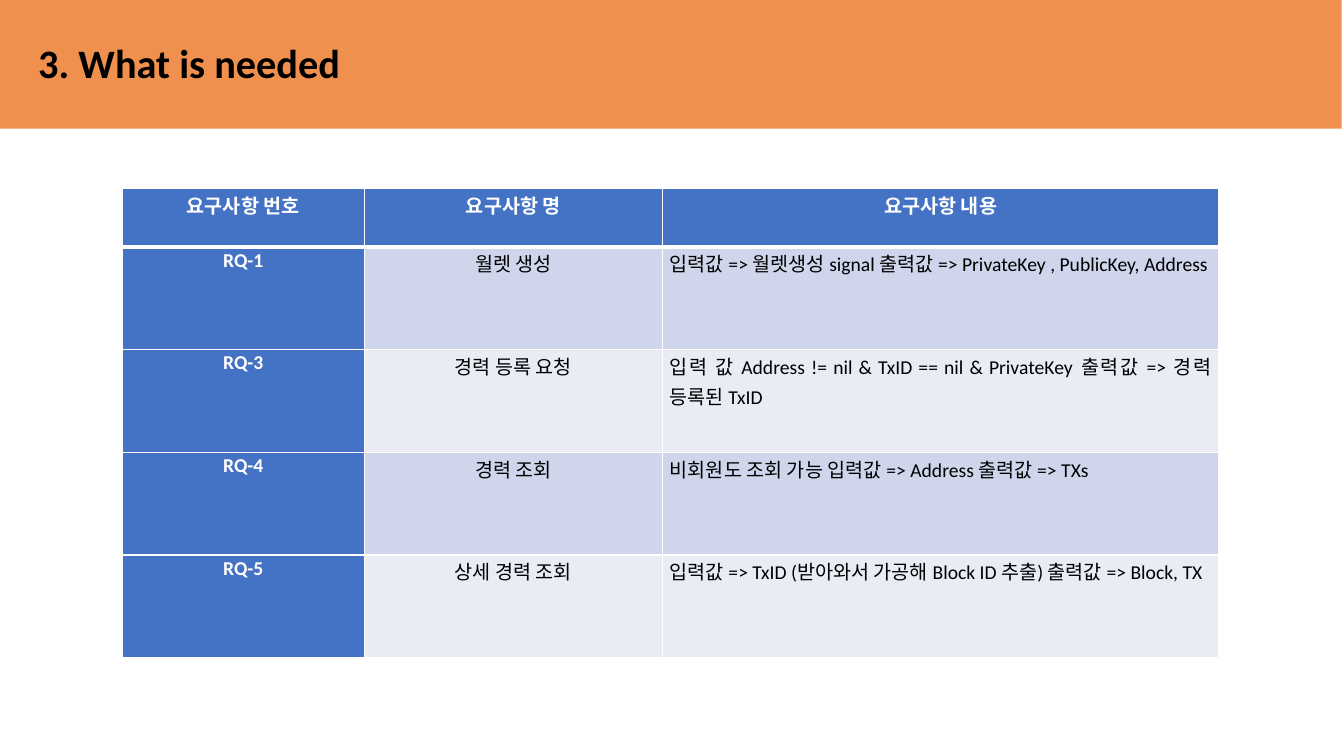
from dataclasses import dataclass

from lxml import etree
from pptx import Presentation
from pptx import util as u
from pptx.dml.color import RGBColor
from pptx.enum import shapes, text
from pptx.oxml import ns

Pt = u.Pt
Align = text.PP_ALIGN


@dataclass(frozen=True)
class Theme:
    font: str = "Calibri"
    band: str = "F0904E"
    head: str = "4472C4"
    rows: tuple = ("CFD5EA", "E9EBF5")
    dark: str = "000000"
    light: str = "FFFFFF"
    title: float = 28.8
    body: float = 14


THEME = Theme()
WIDTHS = (172.8, 213.1, 397.4)
HEAD = ("요구사항 번호", "요구사항 명", "요구사항 내용")
NEEDS = (
    ("RQ-1", "월렛 생성",
     "입력값 => 월렛생성 signal 출력값 => PrivateKey , PublicKey, Address"),
    ("RQ-3", "경력 등록 요청",
     "입력 값 Address != nil & TxID == nil & PrivateKey 출력값 => 경력 등록된 TxID"),
    ("RQ-4", "경력 조회",
     "비회원도 조회 가능 입력값 => Address 출력값 => TXs"),
    ("RQ-5", "상세 경력 조회",
     "입력값 => TxID (받아와서 가공해 Block ID 추출) 출력값 => Block, TX"),
)


def paint(fill, color):
    fill.solid()
    fill.fore_color.rgb = RGBColor.from_string(color)


def style(para, size, color, bold):
    for run in para.runs:
        font = run.font
        font.name, font.size, font.bold = THEME.font, Pt(size), bold
        font.color.rgb = RGBColor.from_string(color)


def add_band(slide):
    band = slide.shapes.add_shape(
        shapes.MSO_SHAPE.RECTANGLE, 0, 0, Pt(958.3), Pt(92))
    band.shadow.inherit = False
    paint(band.fill, THEME.band)
    band.line.fill.background()


def add_title(slide, words):
    box = slide.shapes.add_textbox(Pt(20.2), Pt(28), Pt(938.8), Pt(37.4))
    frame = box.text_frame
    frame.text = words
    frame.word_wrap = True
    frame.vertical_anchor = text.MSO_ANCHOR.MIDDLE
    para = frame.paragraphs[0]
    para.line_spacing = 0.9
    style(para, THEME.title, THEME.dark, True)


def add_edges(cell, base):
    props = cell._tc.get_or_add_tcPr()
    for spot, side in enumerate("LRTB"):
        width = base if side == "B" else 1
        line = etree.Element(ns.qn("a:ln" + side), w=str(Pt(width)))
        fill = etree.SubElement(line, ns.qn("a:solidFill"))
        etree.SubElement(fill, ns.qn("a:srgbClr"), val=THEME.light)
        props.insert(spot, line)


def fill_cell(cell, words, back, color, bold, align, base):
    cell.margin_left = cell.margin_right = Pt(5.2)
    cell.margin_top = cell.margin_bottom = 0
    paint(cell.fill, back)
    add_edges(cell, base)
    cell.text_frame.text = words
    para = cell.text_frame.paragraphs[0]
    para.alignment = align
    para.line_spacing = 1.07
    para.space_after = Pt(8)
    style(para, THEME.body, color, bold)


def add_grid(slide):
    data = (HEAD,) + NEEDS
    grid = slide.shapes.add_table(
        len(data), len(HEAD), Pt(87.4), Pt(134.7), Pt(783.3), Pt(335)).table
    for col, width in zip(grid.columns, WIDTHS):
        col.width = Pt(width)
    for r, row in enumerate(data):
        grid.rows[r].height = Pt(73.4 if r else 41.6)
        for c, words in enumerate(row):
            key = r == 0 or c == 0
            back = THEME.head if key else THEME.rows[(r - 1) % 2]
            color = THEME.light if key else THEME.dark
            align = Align.JUSTIFY if r and c == 2 else Align.CENTER
            fill_cell(grid.cell(r, c), words, back, color, key, align,
                      1 if r else 3)


def main():
    deck = Presentation()
    deck.slide_width, deck.slide_height = Pt(960), Pt(540)
    slide = deck.slides.add_slide(deck.slide_layouts[6])
    add_band(slide)
    add_title(slide, "3. What is needed")
    add_grid(slide)
    deck.save("out.pptx")


if __name__ == "__main__":
    main()
